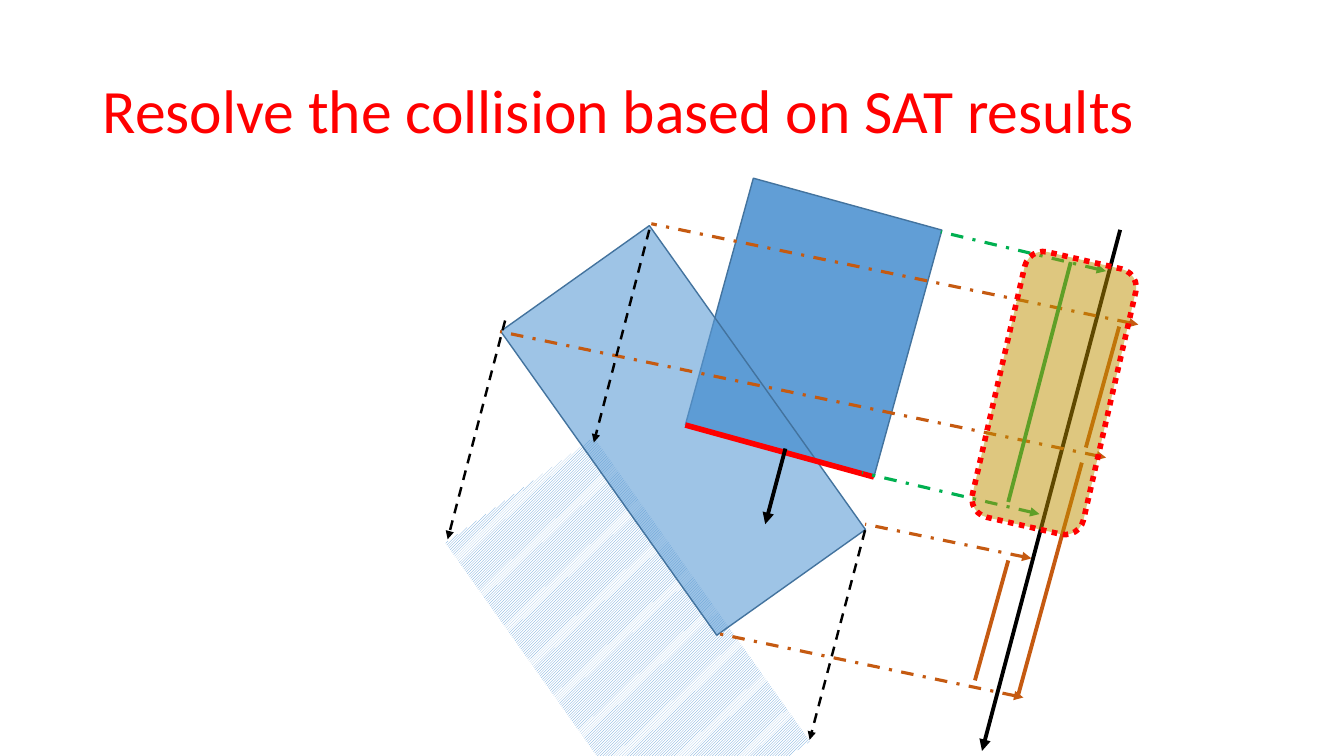
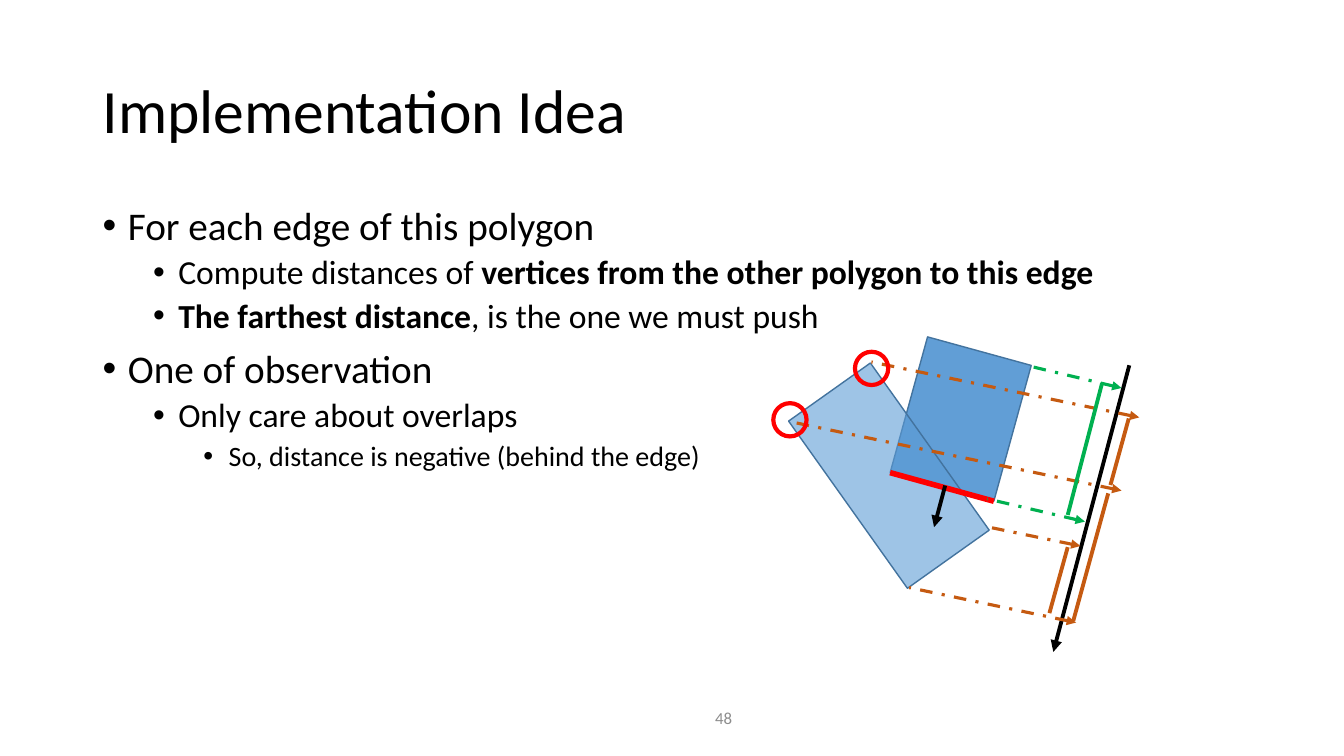
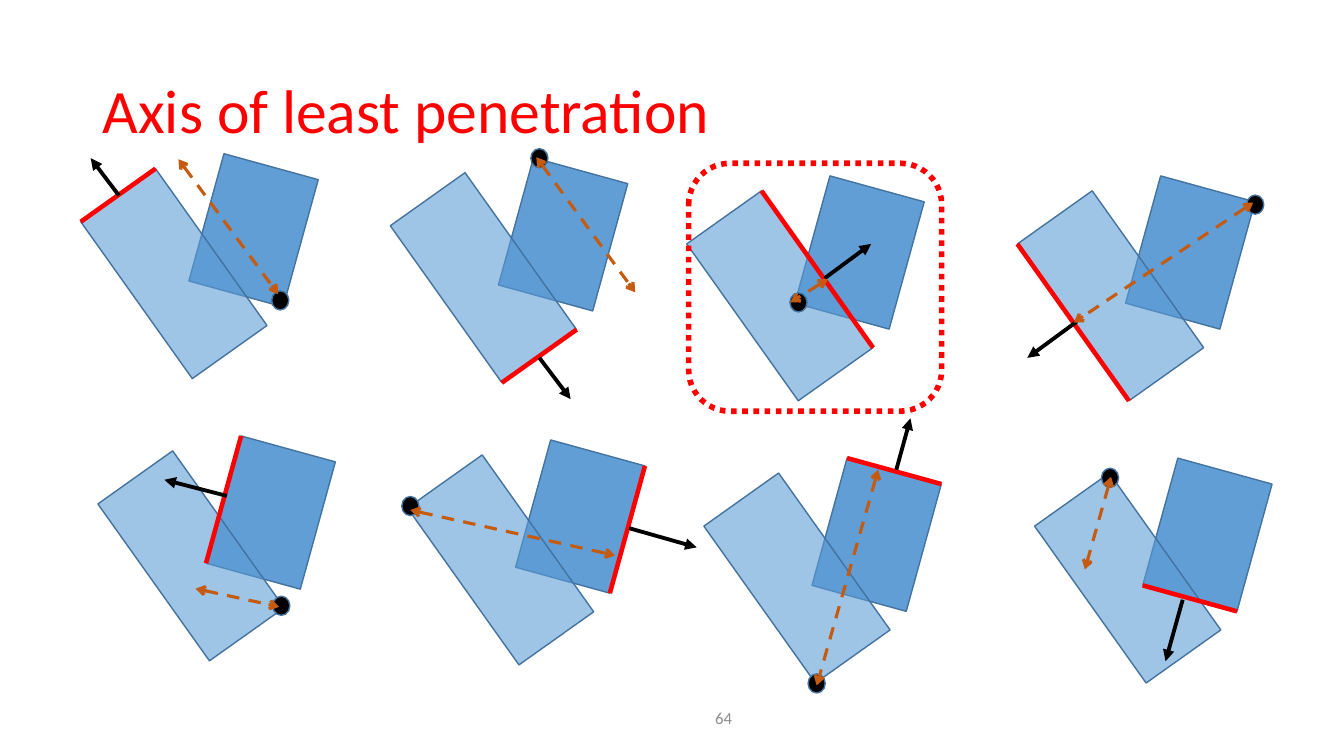
from math import cos, radians, sin

from lxml import etree
from pptx import Presentation
from pptx.dml.color import RGBColor
from pptx.enum.dml import MSO_LINE, MSO_PATTERN
from pptx.enum.shapes import MSO_CONNECTOR, MSO_SHAPE
from pptx.enum.text import MSO_ANCHOR, PP_ALIGN
from pptx.oxml.ns import qn
from pptx.util import Inches, Pt

RECT, ROUND, OVAL = MSO_SHAPE.RECTANGLE, MSO_SHAPE.ROUNDED_RECTANGLE, MSO_SHAPE.OVAL
DASH, DASH_DOT, DOTS = MSO_LINE.DASH, MSO_LINE.DASH_DOT, MSO_LINE.ROUND_DOT
STRAIGHT = MSO_CONNECTOR.STRAIGHT
COLORS = {"ink": "000000", "red": "FF0000", "block": "5B9BD5", "border": "43739E",
          "orange": "C55A11", "green": "00B050", "gold": "BF9000",
          "number": "8C8C8C", "paper": "FFFFFF"}
RGB = {name: RGBColor.from_string(value) for name, value in COLORS.items()}
FONT = "Calibri"
CELL = Inches(1)  # one column or row of the grid
COLUMNS, ROWS = 13.33, 7.5
DARK_TURN, LIGHT_TURN = 15.4, -35.4
DARK_ALPHA, LIGHT_ALPHA = 96, 59


def draw_outline(slide, preset, box, turn=0, fill=None, alpha=100,
                 edge="border", width=1, dash=None):
    """Add a preset outline; return its turned corners, clockwise from top left."""
    outline = slide.shapes.add_shape(preset, *[int(v * CELL) for v in box])
    outline.shadow.inherit = False
    outline.rotation = turn
    if fill:
        outline.fill.solid()
        outline.fill.fore_color.rgb = RGB[fill]
        if alpha < 100:
            color = outline._element.spPr.find(qn("a:solidFill"))[0]
            etree.SubElement(color, qn("a:alpha"), val=str(alpha * 1000))
    else:
        outline.fill.background()
    outline.line.color.rgb = RGB[edge]
    outline.line.width = Pt(width)
    if dash:
        outline.line.dash_style = dash
    left, top, wide, high = box
    c, s = cos(radians(turn)), sin(radians(turn))
    return [(left + wide / 2 + (wide * u * c - high * v * s) / 2,
             top + high / 2 + (wide * u * s + high * v * c) / 2)
            for u, v in ((-1, -1), (1, -1), (1, 1), (-1, 1))]


def draw_line(slide, start, end, color, width, dash=None, head=None, tail=None):
    """Add a straight line; head sits at its start and tail at its end."""
    line = slide.shapes.add_connector(STRAIGHT, *[int(v * CELL) for v in (*start, *end)])
    line.line.color.rgb = RGB[color]
    line.line.width = Pt(width)
    if dash:
        line.line.dash_style = dash
    for tag, arrow in (("a:headEnd", head), ("a:tailEnd", tail)):
        if arrow:
            etree.SubElement(line.line._get_or_add_ln(), qn(tag), type=arrow)
    etree.SubElement(line._element.spPr, qn("a:effectLst"))


deck = Presentation()
deck.slide_width, deck.slide_height = int(COLUMNS * CELL), int(ROWS * CELL)

# Titles and page numbers
slides = []
for title, title_color, number in (
        ("Resolve the collision based on SAT results", "red", None),
        ("Implementation Idea", "ink", "48"),
        ("Axis of least penetration", "red", "64")):
    slide = deck.slides.add_slide(deck.slide_layouts[6])
    slides.append(slide)
    labels = [(title, (0.92, 0.4, 11.5, 1.45), 44, title_color, PP_ALIGN.LEFT)]
    if number:
        labels.append((number, (6.17, 6.93, 1.19, 0.4), 12, "number", PP_ALIGN.RIGHT))
    for words, box, size, color, align in labels:
        frame = slide.shapes.add_textbox(*[int(v * CELL) for v in box]).text_frame
        frame.word_wrap = True
        frame.vertical_anchor = MSO_ANCHOR.MIDDLE
        frame.text = words
        label = frame.paragraphs[0]
        label.alignment = align
        label.line_spacing = 0.9
        font = label.runs[0].font
        font.name, font.size, font.color.rgb = FONT, Pt(size), RGB[color]
resolve, idea, axes = slides

# Pushed-away position of the light block
pushed = resolve.shapes.add_shape(
    RECT, *[int(v * CELL) for v in (5.32, 4.52, 1.81, 3.7)])
pushed.shadow.inherit = False
pushed.rotation = LIGHT_TURN
pushed.fill.patterned()
pushed.fill.pattern = MSO_PATTERN.LIGHT_UPWARD_DIAGONAL
pushed.fill.fore_color.rgb = RGB["block"]
pushed.fill.back_color.rgb = RGB["paper"]
pushed.line.fill.background()

# Bullets of the idea: level, then (words, bold) pieces
bullets = [
    (0, [("For each edge of this polygon", False)]),
    (1, [("Compute distances of ", False),
         ("vertices from the other polygon to this edge", True)]),
    (1, [("The farthest distance", True), (", is the one we must push", False)]),
    (0, [("One of observation", False)]),
    (1, [("Only care about overlaps", False)]),
    (2, [("So, distance is negative (behind the edge)", False)]),
]
body = idea.shapes.add_textbox(
    *[int(v * CELL) for v in (0.92, 2, 11.5, 4.76)]).text_frame
body.word_wrap = True
for row, (level, pieces) in enumerate(bullets):
    bullet = body.add_paragraph() if row else body.paragraphs[0]
    props = bullet._p.get_or_add_pPr()
    props.set("marL", str(int((0.25 + 0.5 * level) * CELL)))
    props.set("indent", str(int(-0.25 * CELL)))
    etree.SubElement(props, qn("a:buFont"), typeface="Arial")
    etree.SubElement(props, qn("a:buChar"), char="•")
    bullet.level = level
    bullet.line_spacing = 0.9
    if row:
        bullet.space_before = Pt(5 if level else 10)
    for words, bold in pieces:
        piece = bullet.add_run()
        piece.text = words
        font = piece.font
        font.name, font.size, font.bold = FONT, Pt(28 - 4 * level), bold
        font.color.rgb = RGB["ink"]

# Projection figure: full size on the first slide, reduced on the second
projections = [  # arrow tip on the axis, projected vertex
    ("orange", (10.23, 5.54), (8.58, 5.2)),
    ("green", (10.97, 2.69), (9.33, 2.3)),
    ("green", (10.31, 5.1), (8.55, 4.69)),
    ("orange", (10.15, 6.92), (7.14, 6.29)),
    ("orange", (11.29, 3.22), (6.46, 2.22)),
    ("orange", (10.97, 4.54), (4.96, 3.29)),
]
intervals = [
    ("orange", (10.77, 4.44), (11.1, 3.24)),
    ("green", (10.62, 2.6), (10, 4.98)),
    ("orange", (9.67, 6.75), (10, 5.56)),
    ("orange", (10.1, 6.89), (10.73, 4.59)),
]
axis = ((11.11, 2.28), (9.74, 7.45))
edge_normal = ((7.79, 4.45), (7.59, 5.2))
for slide, scale, dx, dy in ((resolve, 1, 0, 0), (idea, 0.55, 5.09, 2.37)):
    corners = draw_outline(
        slide, RECT, (dx + scale * 7.1, dy + scale * 1.98, scale * 1.94, scale * 2.54),
        DARK_TURN, "block", DARK_ALPHA)
    draw_outline(
        slide, RECT, (dx + scale * 5.87, dy + scale * 2.42, scale * 1.81, scale * 3.7),
        LIGHT_TURN, "block", LIGHT_ALPHA)
    draw_line(slide, corners[2], corners[3], "red", 4)
    strokes = [(*ends, "ink", 2.75, None, None, "triangle")
               for ends in (edge_normal, axis)]
    strokes += [(tip, vertex, color, 2.25, DASH_DOT, "triangle", None)
                for color, tip, vertex in projections]
    strokes += [(start, end, color, 2.75) for color, start, end in intervals]
    for start, end, *style in strokes:
        draw_line(slide, *[(dx + scale * x, dy + scale * y) for x, y in (start, end)],
                  *style)

# Push directions and overlap on the first slide
for start, end in (((6.44, 2.28), (5.89, 4.39)), ((8.58, 5.26), (8.03, 7.34)),
                   ((5.01, 3.18), (4.44, 5.35))):
    draw_line(resolve, start, end, "ink", 1.75, DASH, tail="triangle")
draw_outline(resolve, ROUND, (9.89, 2.55, 1.13, 2.7), 12.9, "gold", 50, "red", 4, DOTS)

# Circled vertices on the second slide
for left, top in ((8.48, 3.49), (7.67, 4)):
    draw_outline(idea, OVAL, (left, top, 0.33, 0.33), edge="red", width=3)

# Candidate axes: four panels for each block, the second row shifted from the first
TOP, RIGHT, BOTTOM, LEFT = range(4)
panel_origins = [(2.03, 1.63), (5.1, 1.67), (8.04, 1.85), (11.32, 1.85)]
row_shift = (0.17, 2.8)
candidates = [  # side, normal, depth and farthest vertex, from the panel's origin
    (TOP, ((-0.85, 0.31), (-1.13, -0.06)), ((-0.26, -0.05), (0.73, 1.29)), (0.75, 1.35)),
    (BOTTOM, ((0.25, 1.88), (0.56, 2.29)), ((0.22, -0.11), (1.2, 1.23)), (0.25, -0.1)),
    (RIGHT, ((0.14, 0.91), (0.6, 0.57)), ((0.17, 0.92), (-0.2, 1.15)), (-0.12, 1.15)),
    (LEFT, ((-0.64, 1.34), (-1.13, 1.7)), ((1.11, 0.16), (-0.67, 1.35)), (1.13, 0.18)),
    (LEFT, ((0.05, 0.49), (-0.57, 0.33)), ((-0.26, 1.41), (0.57, 1.59)), (0.59, 1.58)),
    (RIGHT, ((0.97, 0.77), (1.64, 0.96)), ((-1.2, 0.59), (0.83, 1.04)), (-1.2, 0.55)),
    (TOP, ((0.68, 0.01), (0.82, -0.5)), ((0.5, 0.01), (-0.11, 2.15)), (-0.11, 2.13)),
    (BOTTOM, ((0.24, 1.3), (0.07, 1.91)), ((-0.47, 0.08), (-0.73, 1)), (-0.48, 0.09)),
]
for index, (side, normal, depth, vertex) in enumerate(candidates):
    row, column = divmod(index, len(panel_origins))
    x0 = panel_origins[column][0] + row * row_shift[0]
    y0 = panel_origins[column][1] + row * row_shift[1]
    dark = draw_outline(axes, RECT, (x0, y0, 0.97, 1.31), DARK_TURN, "block", DARK_ALPHA)
    light = draw_outline(axes, RECT, (x0 - 0.76, y0 + 0.13, 0.91, 1.91), LIGHT_TURN,
                         "block", LIGHT_ALPHA)
    corners = dark if row else light
    draw_line(axes, corners[side], corners[(side + 1) % 4], "red", 3.25)
    draw_outline(axes, OVAL, (x0 + vertex[0] - 0.085, y0 + vertex[1] - 0.095, 0.17, 0.19),
                 fill="ink")
    draw_line(axes, *[(x0 + x, y0 + y) for x, y in normal], "ink", 2.75, tail="triangle")
    draw_line(axes, *[(x0 + x, y0 + y) for x, y in depth], "orange", 2.25, DASH,
              "arrow", "arrow")

# Least penetration
draw_outline(axes, ROUND, (6.83, 1.62, 2.51, 2.46), edge="red", width=4, dash=DOTS)

deck.save("out.pptx")
